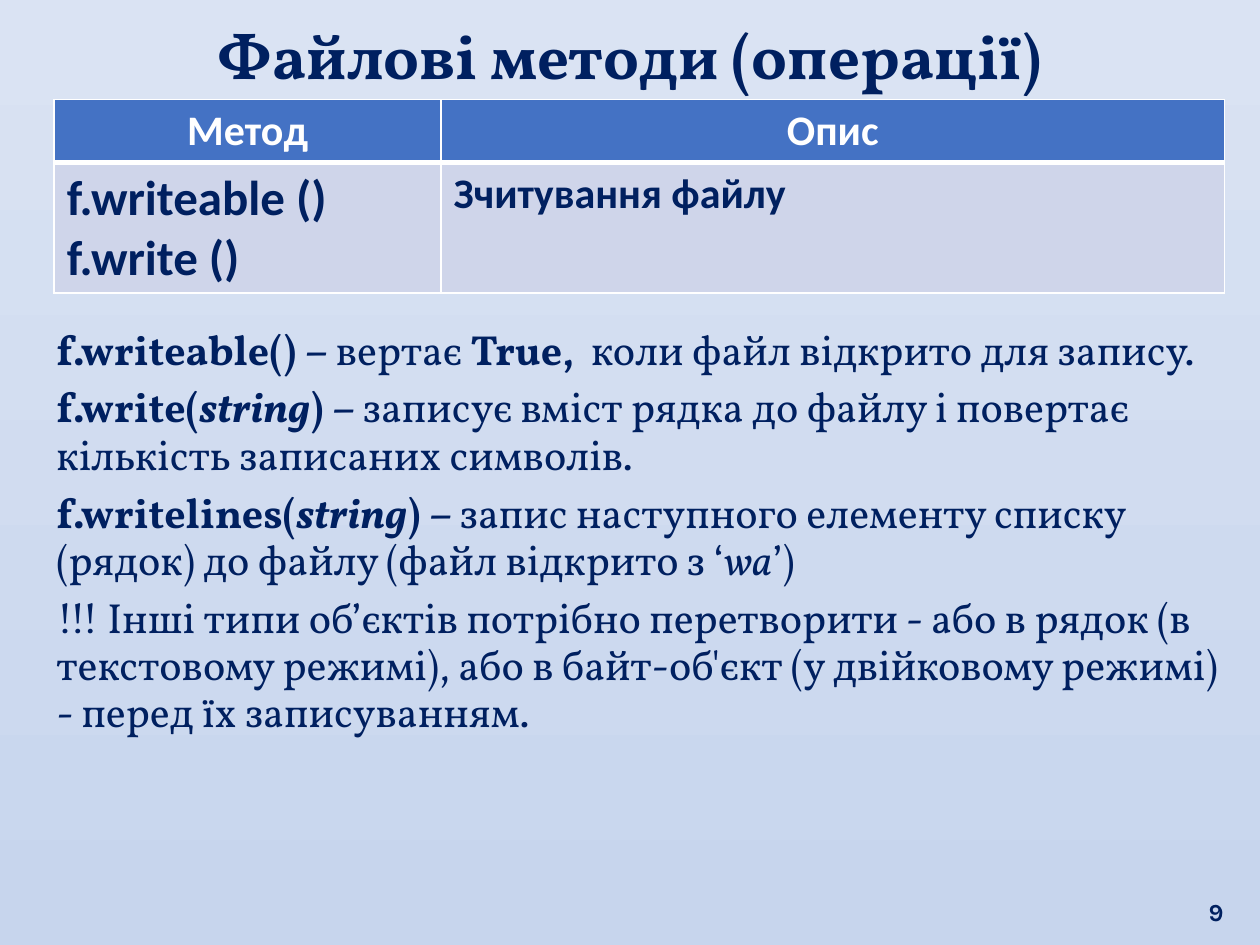
from lxml import etree
from pptx import Presentation
from pptx.dml.color import RGBColor
from pptx.enum import text as t
from pptx.oxml.ns import qn
from pptx.util import Inches, Pt

NAVY, WHITE, BLUE, PALE = "002060", "FFFFFF", "4472C4", "CFD5EA"
SKY = ["DAE3F3", "C7D5ED"]
LEFT, MID, RIGHT = t.PP_ALIGN.LEFT, t.PP_ALIGN.CENTER, t.PP_ALIGN.RIGHT

TITLE = "Файлові методи (операції)"
NUMBER = "9"
HEAD = ["Метод", "Опис"]
BODY = [(["f.writeable ()", "f.write ()"], 28), (["Зчитування файлу"], 24)]
COLS, ROWS = [3.07, 6.22], [0.5, 1.03]

# Each run: text and style (b bold, i italic)
NOTES = [
    [("f.writeable() – ", "b"), ("вертає ", ""), ("True,  ", "b"),
     ("коли файл відкрито для запису.", "")],
    [("f.write(", "b"), ("string", "bi"), (") – ", "b"),
     ("записує вміст рядка до файлу і повертає кількість записаних символів.", "")],
    [("f.writelines(", "b"), ("string", "bi"), (") – ", "b"),
     ("запис наступного елементу списку (рядок) до файлу (файл відкрито з ‘", ""),
     ("wa", "i"), ("’)", "")],
    [("!!! Інші типи об’єктів потрібно перетворити - або в рядок "
      "(в текстовому режимі), або в байт-об'єкт (у двійковому режимі) "
      "- перед їх записуванням.", "")],
]


def rgb(code):
    return RGBColor.from_string(code)


def style(par, face, size, color=NAVY, bold=None, align=LEFT):
    font = par.font
    font.name, font.size, font.bold = face, Pt(size), bold
    font.color.rgb = rgb(color)
    par.alignment = align


def add_box(slide, *place):
    frame = slide.shapes.add_textbox(*map(Inches, place)).text_frame
    frame.word_wrap = True
    return frame


def edge(cell, widths):
    """Draw white borders; widths in points for left, right, top, bottom."""
    props = cell._tc.get_or_add_tcPr()
    for n, (side, width) in enumerate(zip("LRTB", widths)):
        line = etree.Element(qn(f"a:ln{side}"), w=str(Pt(width)))
        fill = etree.SubElement(line, qn("a:solidFill"))
        etree.SubElement(fill, qn("a:srgbClr"), val=WHITE)
        props.insert(n, line)


def fill_cell(cell, lines, size, ink, back, align, base):
    cell.text = "\n".join(lines)
    for par in cell.text_frame.paragraphs:
        style(par, "Calibri", size, ink, True, align)
    cell.fill.solid()
    cell.fill.fore_color.rgb = rgb(back)
    edge(cell, base)


def add_grid(slide):
    place = map(Inches, (0.43, 0.79, sum(COLS), sum(ROWS)))
    grid = slide.shapes.add_table(len(ROWS), len(COLS), *place).table
    for col, width in zip(grid.columns, COLS):
        col.width = Inches(width)
    for row, height in zip(grid.rows, ROWS):
        row.height = Inches(height)
    for c, (head, (lines, size)) in enumerate(zip(HEAD, BODY)):
        fill_cell(grid.cell(0, c), [head], 24, WHITE, BLUE, MID, (1, 1, 1, 3))
        fill_cell(grid.cell(1, c), lines, size, NAVY, PALE, LEFT, (1, 1, 3, 1))


def add_notes(slide):
    frame = add_box(slide, 0.35, 2.54, 9.53, 3.38)
    for n, runs in enumerate(NOTES):
        par = frame.add_paragraph() if n else frame.paragraphs[0]
        style(par, "Vollkorn", 24)
        par.line_spacing, par.space_before = Pt(27), Pt(6)
        for words, look in runs:
            run = par.add_run()
            run.text = words
            run.font.bold, run.font.italic = "b" in look, "i" in look


def main():
    deck = Presentation()
    deck.slide_width, deck.slide_height = Inches(10), Inches(7.5)
    slide = deck.slides.add_slide(deck.slide_layouts[6])
    back = slide.background.fill
    back.gradient()
    back.gradient_angle = 270
    for stop, color in zip(back.gradient_stops, SKY):
        stop.color.rgb = rgb(color)

    title = add_box(slide, 0.12, 0.08, 9.76, 0.71)
    title.text = TITLE
    style(title.paragraphs[0], "Vollkorn", 36, bold=True, align=MID)

    number = add_box(slide, 9.33, 6.9, 0.48, 0.5)
    number.text = NUMBER
    number.vertical_anchor = t.MSO_ANCHOR.BOTTOM
    style(number.paragraphs[0], "Karla", 14, bold=True, align=RIGHT)

    add_notes(slide)
    add_grid(slide)
    deck.save("out.pptx")


if __name__ == "__main__":
    main()
